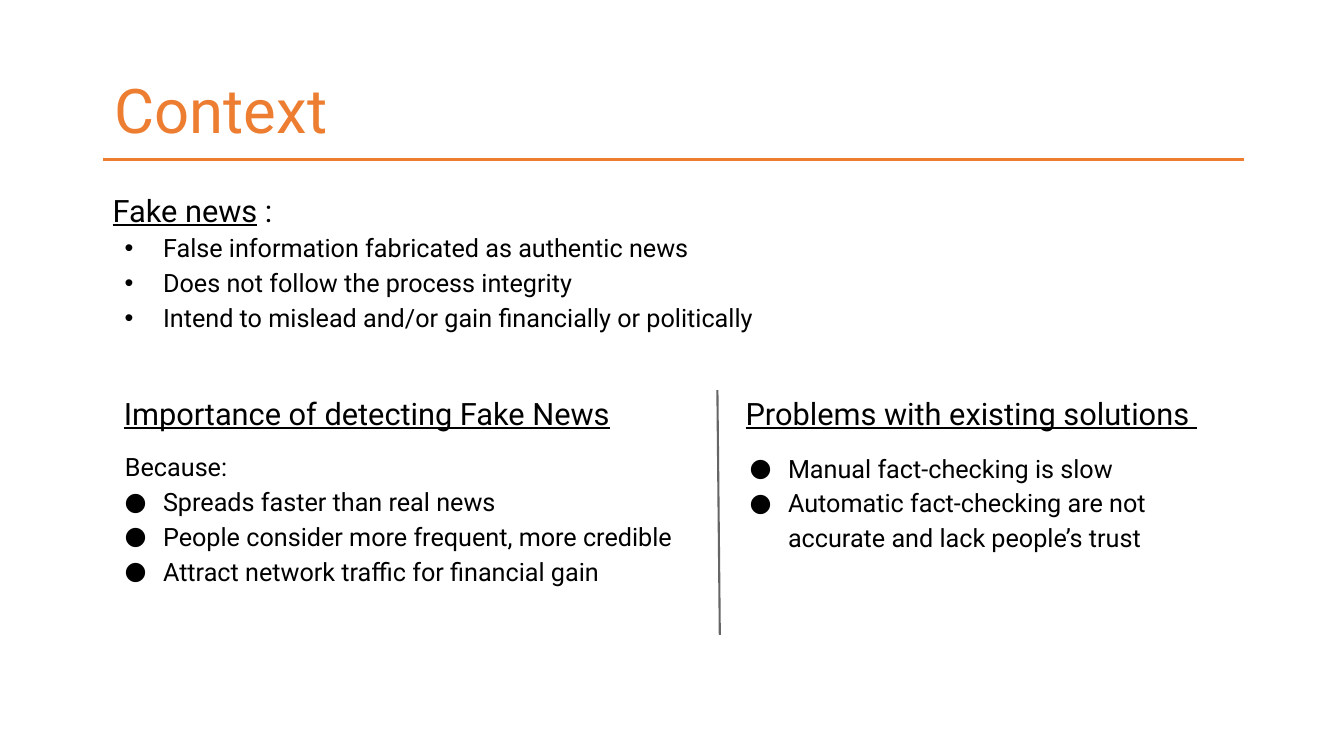
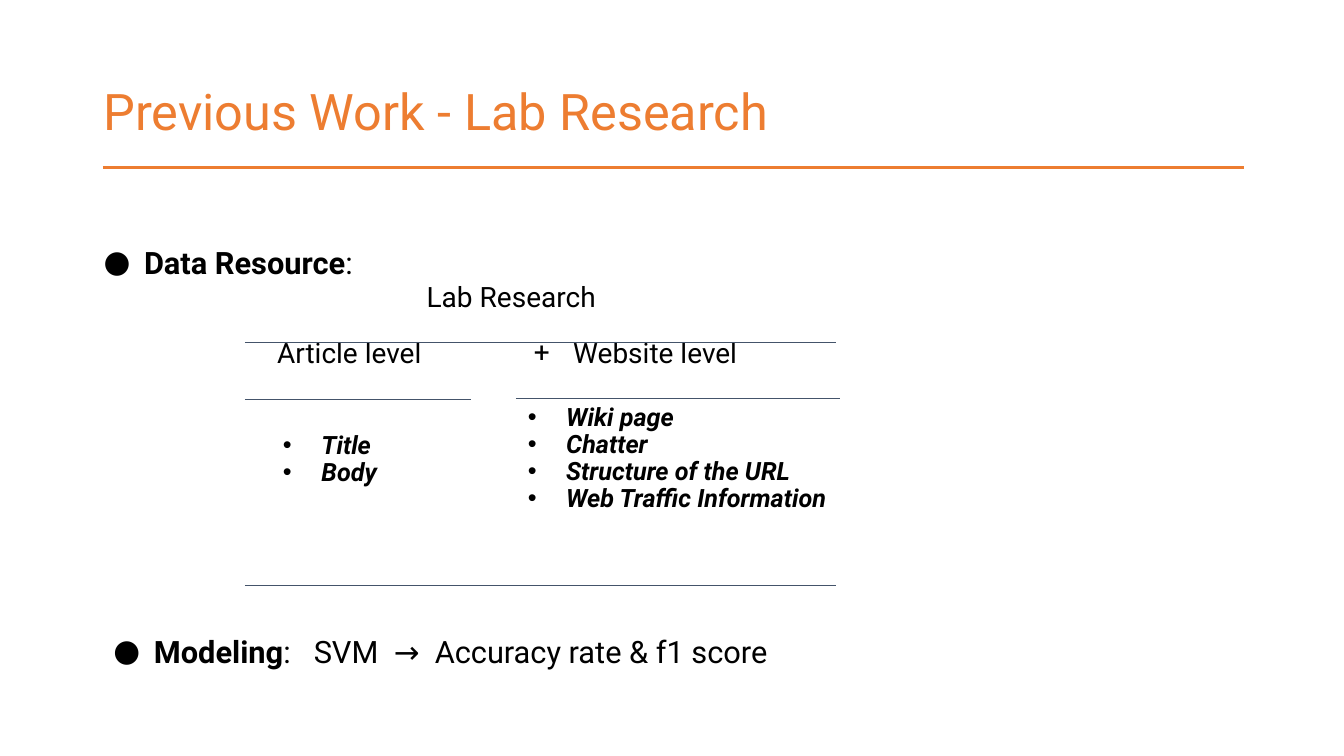
import pptx
import pptx.util
import pptx.dml.color
import pptx.enum.shapes
import pptx.enum.text
import pptx.oxml
import pptx.oxml.ns
from dataclasses import dataclass
from lxml import etree

Cm = pptx.util.Cm
Pt = pptx.util.Pt
qn = pptx.oxml.ns.qn
ALIGN = pptx.enum.text.PP_ALIGN
ANCHOR = pptx.enum.text.MSO_ANCHOR


@dataclass
class Theme:
    font: str = "Roboto"
    accent: str = "ED7D31"
    ink: str = "000000"
    gray: str = "666666"
    slate: str = "44546A"
    big: int = 44
    title: int = 36
    head: int = 22
    label: int = 20
    text: int = 18


theme = Theme()


def place(shape, box, anchor=ANCHOR.TOP, pad=0.13):
    shape.left, shape.top, shape.width, shape.height = [Cm(v) for v in box]
    frame = shape.text_frame
    frame.word_wrap = True
    frame.auto_size = pptx.enum.text.MSO_AUTO_SIZE.NONE
    frame.vertical_anchor = anchor
    frame.margin_left = frame.margin_right = Cm(0.25)
    frame.margin_top = frame.margin_bottom = Cm(pad)
    return frame


def write(frame, runs, size, color=theme.ink, mark="", hang=0.97, left=0,
          lead=1.0, before=0, align=ALIGN.LEFT):
    para = frame.paragraphs[0]
    if para.runs:
        para = frame.add_paragraph()
    para.alignment = align
    para.line_spacing = lead
    para.space_before = Pt(before)
    props = para._p.get_or_add_pPr()
    props.set("marL", str(Cm(1.27 if mark else left)))
    props.set("indent", str(Cm(-hang if mark else 0)))
    if mark:
        tint = etree.SubElement(props, qn("a:buClr"))
        etree.SubElement(tint, qn("a:srgbClr"), val=color)
        face = "Arial" if mark == "•" else theme.font
        etree.SubElement(props, qn("a:buFont"), typeface=face)
        etree.SubElement(props, qn("a:buChar"), char=mark)
    else:
        etree.SubElement(props, qn("a:buNone"))
    for text, look, gap in runs:
        run = para.add_run()
        run.text = text
        run.font.name = theme.font
        run.font.size = Pt(size)
        run.font.color.rgb = pptx.dml.color.RGBColor.from_string(color)
        run.font.bold = "b" in look
        run.font.italic = "i" in look
        run.font.underline = "u" in look
        if gap:
            run._r.get_or_add_rPr().set("spc", str(int(gap * 100)))


deck = pptx.Presentation()
deck.slide_width = Cm(33.87)
deck.slide_height = Cm(19.05)

first = deck.slides.add_slide(deck.slide_layouts[1])
second = deck.slides.add_slide(deck.slide_layouts[3])

for slide, name, size, left, top in [
    (first, "Context", theme.big, 2.64, 1.02),
    (second, "Previous Work - Lab Research", theme.title, 2.36, 1.04),
]:
    frame = place(slide.shapes.title, (left, top, 29.21, 3.68), ANCHOR.MIDDLE)
    write(frame, [(name, "", 0)], size, theme.accent, lead=0.9)

frame = place(first.placeholders[1], (2.59, 4.55, 30.48, 4.7))
write(frame, [("Fake news", "u", 0), (" :", "", 0)], theme.head, lead=1.15)
for line in [
    "False information fabricated as authentic news",
    "Does not follow the process integrity",
    "Intend to mislead and/or gain financially or politically",
]:
    write(frame, [(line, "", 0)], theme.text, mark="•", lead=1.15)

for head, left, box, intro, lines in [
    ("Importance of detecting Fake News", 2.87, (2.59, 11.02, 15.09, 5.33), "Because:", [
        "Spreads faster than real news",
        "People consider more frequent, more credible",
        "Attract network traffic for financial gain",
    ]),
    ("Problems with existing solutions ", 18.54, (18.34, 11.05, 13.39, 4.09), "", [
        "Manual fact-checking is slow",
        "Automatic fact-checking are not accurate and lack people’s trust",
    ]),
]:
    shape = first.shapes.add_textbox(0, 0, 0, 0)
    frame = place(shape, (left, 9.83, 14, 1.14), ANCHOR.MIDDLE)
    write(frame, [(head, "u", 0)], theme.head)
    shape = first.shapes.add_textbox(0, 0, 0, 0)
    frame = place(shape, box, pad=0.25)
    if intro:
        write(frame, [(intro, "", 0)], theme.text, left=0.31, lead=1.15)
    for line in lines:
        write(frame, [(line, "", 0)], theme.text, mark="●", lead=1.15)

shape = second.shapes.add_textbox(0, 0, 0, 0)
frame = place(shape, (2.11, 5.08, 30.28, 1.78))
write(frame, [("Data Resource", "b", 0), (":", "", 0)], theme.head,
      mark="●", hang=1.02, lead=2.0, before=10)

for label, mark, box in [
    ("Lab Research", "", (9.8, 7.01, 6.17, 1.78)),
    ("Article level", "", (6.58, 8.43, 4.45, 1.78)),
    ("Website level ", "+", (12.88, 8.43, 6.17, 1.78)),
]:
    frame = place(second.shapes.add_textbox(0, 0, 0, 0), box)
    write(frame, [(label, "", 0)], theme.label, mark=mark, hang=0.99,
          lead=0.9, before=10, align=ALIGN.CENTER)

for slot, box, lines in [
    (1, (6.58, 10.77, 3.78, 2.41), ["Title", "Body"]),
    (2, (12.75, 10.06, 8.41, 4.7), [
        "Wiki page", "Chatter", "Structure of the URL", "Web Traffic Information",
    ]),
]:
    frame = place(second.placeholders[slot], box)
    for row, line in enumerate(lines):
        write(frame, [(line, "bi", 0)], theme.text, mark="•", lead=0.9,
              before=0 if row else 10)

shape = second.shapes.add_textbox(0, 0, 0, 0)
frame = place(shape, (2.36, 15.82, 27.64, 1.27))
write(frame, [
    ("Modeling", "b", 0), (":", "", 0), (" ", "", 11), ("SVM", "", 0),
    (" ", "", 5.5), ("→", "", 0), (" ", "", 5.5),
    ("Accuracy rate & f1 score", "", 0),
], theme.head, mark="●", hang=1.02)

for slide, ends, color, width in [
    (first, (2.59, 4.01, 31.34, 4.01), theme.accent, 2.25),
    (first, (18.08, 9.83, 18.14, 16), theme.gray, 1.5),
    (second, (2.59, 4.22, 31.34, 4.22), theme.accent, 2.25),
    (second, (6.17, 8.64, 21.08, 8.64), theme.slate, 0.75),
    (second, (6.17, 10.06, 11.86, 10.06), theme.slate, 0.75),
    (second, (13, 10.03, 21.18, 10.03), theme.slate, 0.75),
    (second, (6.17, 14.76, 21.08, 14.76), theme.slate, 0.75),
]:
    rule = slide.shapes.add_connector(
        pptx.enum.shapes.MSO_CONNECTOR.STRAIGHT, *[Cm(v) for v in ends])
    rule.line.color.rgb = pptx.dml.color.RGBColor.from_string(color)
    rule.line.width = Pt(width)
    etree.SubElement(rule._element.spPr, qn("a:effectLst"))

deck.save("out.pptx")
